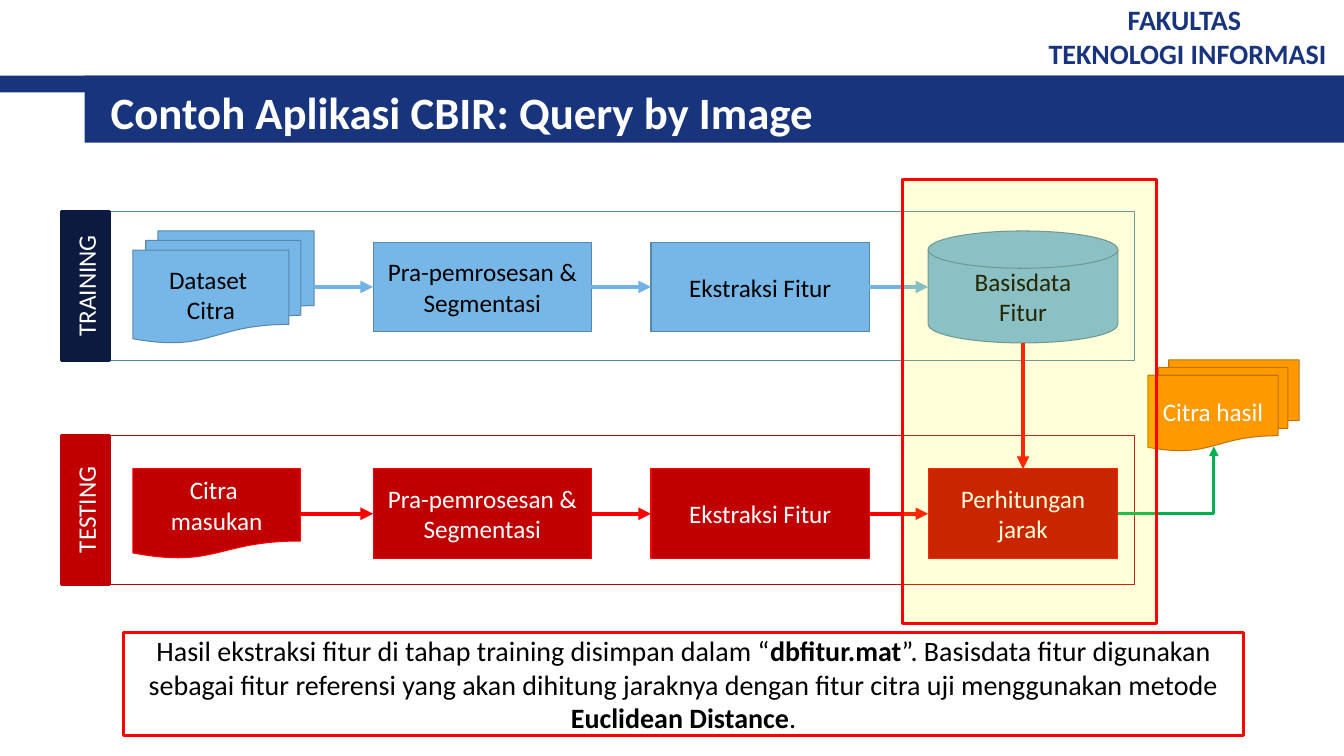
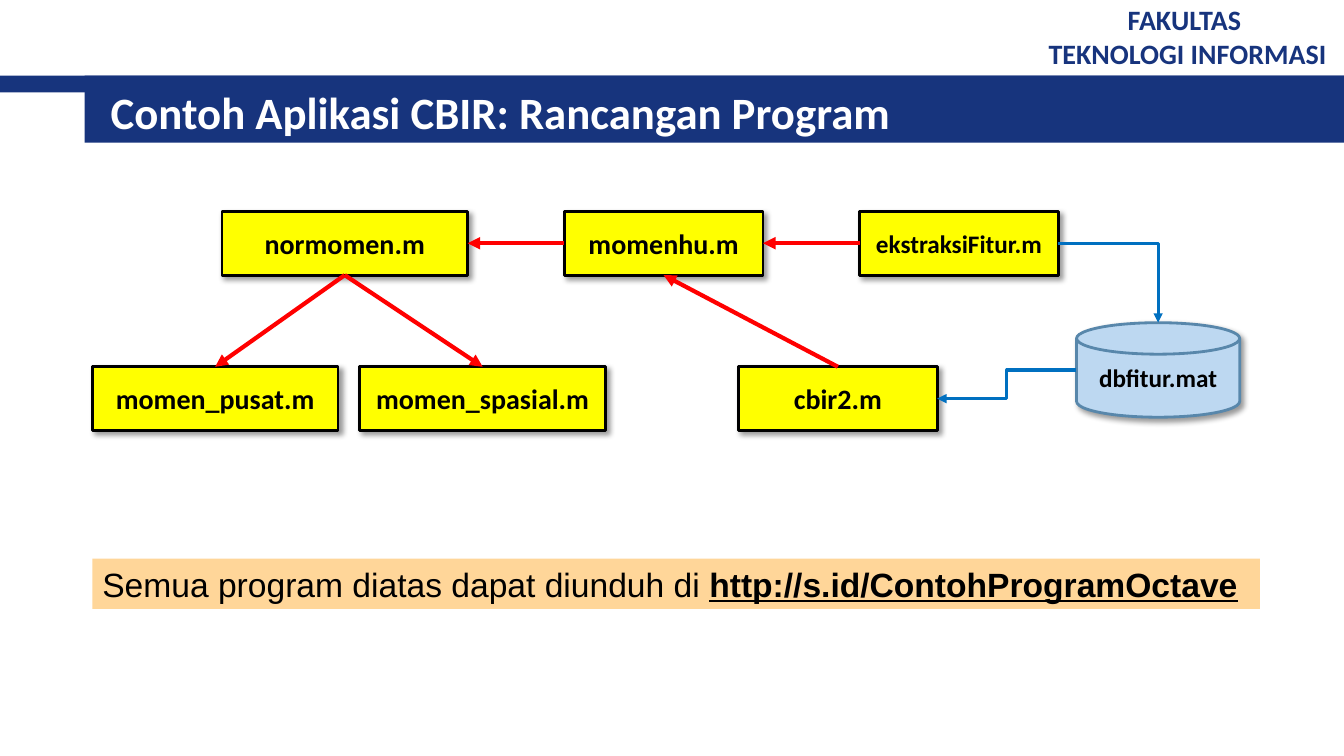
from dataclasses import dataclass, field
from typing import Any, Optional

import pptx
import pptx.dml.color
import pptx.enum.shapes
import pptx.enum.text
import pptx.oxml.ns
import pptx.util
from lxml import etree

Pt = pptx.util.Pt
qn = pptx.oxml.ns.qn
MSO = pptx.enum.shapes.MSO_SHAPE
CONNECTOR = pptx.enum.shapes.MSO_CONNECTOR
ALIGN = pptx.enum.text.PP_ALIGN
ANCHOR = pptx.enum.text.MSO_ANCHOR

# Palette
NAVY, DARK_NAVY = "17347D", "0B1A3E"
SKY, STEEL, SKY_ARROW, PALE = "77B7E7", "5887AB", "72B3E5", "BDD8F1"
CRIMSON, RED, GREEN, BLUE = "C00000", "FF0000", "00B050", "0070C0"
ORANGE, BROWN, PEACH, YELLOW = "FF9900", "BF7300", "FFD699", "FFFF00"
BLACK, WHITE = "000000", "FFFFFF"

TOP, LEFT, BOTTOM, RIGHT = range(4)


@dataclass
class Run:
    text: str
    fmt: dict[str, Any] = field(default_factory=dict)


@dataclass
class Box:
    x: float
    y: float
    w: float
    h: float
    fill: Optional[str] = None
    line: Optional[str] = None
    weight: float = 0.75
    kind: Any = MSO.FLOWCHART_PROCESS
    text: str | list[Run] = ""
    color: str = BLACK
    size: float = 18
    bold: bool = False
    font: str = "Calibri"
    align: Any = ALIGN.CENTER
    rotation: float = 0
    opacity: int = 100
    shadow: bool = False


@dataclass
class Site:
    """Middle of a shape's side, with an optional shift."""
    sp: Any
    side: int
    dx: float = 0
    dy: float = 0

    def point(self) -> tuple[int, int]:
        sp = self.sp
        fx, fy = ((0.5, 0), (0, 0.5), (0.5, 1), (1, 0.5))[self.side]
        return (int(sp.left + sp.width * fx + Pt(self.dx)),
                int(sp.top + sp.height * fy + Pt(self.dy)))


def rgb(value: str) -> pptx.dml.color.RGBColor:
    return pptx.dml.color.RGBColor.from_string(value)


def write(sp: Any, b: Box) -> None:
    tf = sp.text_frame
    tf.word_wrap = True
    tf.vertical_anchor = ANCHOR.MIDDLE
    if isinstance(b.text, str):
        paragraphs = [[Run(t)] for t in b.text.split("\n")]
    else:
        paragraphs = [b.text]
    base = {"name": b.font, "size": Pt(b.size), "bold": b.bold}
    for i, runs in enumerate(paragraphs):
        p = tf.add_paragraph() if i else tf.paragraphs[0]
        p.alignment = b.align
        for run in runs:
            r = p.add_run()
            r.text = run.text
            for name, value in (base | run.fmt).items():
                setattr(r.font, name, value)
            r.font.color.rgb = rgb(b.color)


def add_box(s: Any, b: Box) -> Any:
    sp = s.shapes.add_shape(b.kind, Pt(b.x), Pt(b.y), Pt(b.w), Pt(b.h))
    sp.rotation = b.rotation
    if b.fill:
        sp.fill.solid()
        sp.fill.fore_color.rgb = rgb(b.fill)
    else:
        sp.fill.background()
    if b.line:
        sp.line.color.rgb = rgb(b.line)
        sp.line.width = Pt(b.weight)
    else:
        sp.line.fill.background()
    sp.shadow.inherit = False
    spPr = sp._element.spPr
    if b.opacity < 100:
        clr = spPr.find(qn("a:solidFill")).find(qn("a:srgbClr"))
        etree.SubElement(clr, qn("a:alpha"), val=str(b.opacity * 1000))
    if b.shadow:
        shade = etree.SubElement(
            spPr.find(qn("a:effectLst")), qn("a:outerShdw"),
            blurRad=str(Pt(4)), dist=str(Pt(3)), dir="2700000",
            algn="tl", rotWithShape="0")
        clr = etree.SubElement(shade, qn("a:srgbClr"), val=BLACK)
        etree.SubElement(clr, qn("a:alpha"), val="40000")
    if b.text:
        write(sp, b)
    return sp


def add_text(s: Any, b: Box) -> None:
    sp = s.shapes.add_textbox(Pt(b.x), Pt(b.y), Pt(b.w), Pt(b.h))
    if b.fill:
        sp.fill.solid()
        sp.fill.fore_color.rgb = rgb(b.fill)
    write(sp, b)


def add_arrow(s: Any, begin: Site, end: Site, color: str,
              weight: float = 3, elbow: str = "") -> None:
    kind = CONNECTOR.ELBOW if elbow else CONNECTOR.STRAIGHT
    c = s.shapes.add_connector(kind, *begin.point(), *end.point())
    if elbow:
        c._element.spPr.find(qn("a:prstGeom")).set("prst", elbow)
    else:
        for site, join in ((begin, c.begin_connect), (end, c.end_connect)):
            if site.sp.auto_shape_type == MSO.FLOWCHART_PROCESS:
                join(site.sp, site.side)
    c.line.color.rgb = rgb(color)
    c.line.width = Pt(weight)
    etree.SubElement(c.line._get_or_add_ln(), qn("a:tailEnd"), type="triangle")
    etree.SubElement(c._element.spPr, qn("a:effectLst"))


def new_slide(prs: Any, title: str) -> Any:
    s = prs.slides.add_slide(prs.slide_layouts[6])
    # Bands, faculty name and title
    add_box(s, Box(0, 54, 960, 12, NAVY, kind=MSO.RECTANGLE))
    add_box(s, Box(60.5, 54, 899.5, 48, NAVY, kind=MSO.RECTANGLE))
    add_text(s, Box(736.5, 3.5, 223.5, 44.5, color=NAVY, size=20, bold=True,
                    text="FAKULTAS \nTEKNOLOGI INFORMASI"))
    add_text(s, Box(72, 57.5, 856, 44.5, color=WHITE, size=32, bold=True,
                    align=ALIGN.LEFT, text=title))
    return s


def add_lane(s: Any, y: float, name: str, line: str, fill: str) -> None:
    h, tab = 106.5, 34.5
    add_box(s, Box(79, y, 731.5, h, line=line, kind=MSO.RECTANGLE))
    add_box(s, Box(61.25 - h / 2, y + (h - tab) / 2, h, tab, fill, fill, 2,
                   MSO.RECTANGLE, name, WHITE, rotation=270))


def add_flow(s: Any, mid: float, steps: list[Box], arrow: str,
             **style: Any) -> list[Any]:
    """Draw steps centred on one height and chain them with arrows."""
    shapes = []
    for b in steps:
        b.y = mid - b.h / 2
        for name, value in style.items():
            setattr(b, name, value)
        shapes.append(add_box(s, b))
    for a, b in zip(shapes, shapes[1:]):
        add_arrow(s, Site(a, RIGHT), Site(b, LEFT), arrow)
    return shapes


def middle_steps() -> list[Box]:
    return [Box(266.5, 0, 156, 64, text="Pra-pemrosesan & Segmentasi"),
            Box(465, 0, 156, 64, text="Ekstraksi Fitur")]


def query_slide(prs: Any) -> None:
    s = new_slide(prs, "Contoh Aplikasi CBIR: Query by Image")

    # Lanes
    add_lane(s, 311, "TESTING", CRIMSON, CRIMSON)
    add_lane(s, 151, "TRAINING", STEEL, DARK_NAVY)

    # Flows
    dataset = Box(95, 0, 129.5, 80, kind=MSO.FLOWCHART_MULTIDOCUMENT,
                  text="Dataset \nCitra")
    database = Box(663, 0, 135.5, 80, kind=MSO.FLOWCHART_MAGNETIC_DISK,
                   text="Basisdata\nFitur")
    query = Box(95, 0, 119.5, 64.5, kind=MSO.FLOWCHART_DOCUMENT,
                text="Citra \nmasukan")
    distance = Box(663, 0, 135.5, 64, text="Perhitungan jarak")
    training = add_flow(s, 205, [dataset, *middle_steps(), database],
                        SKY_ARROW, fill=SKY, line=STEEL)
    testing = add_flow(s, 367, [query, *middle_steps(), distance],
                       RED, fill=CRIMSON, line=RED, color=WHITE)
    add_arrow(s, Site(training[-1], BOTTOM), Site(testing[-1], TOP), RED)

    # Result
    result = add_box(s, Box(820, 257, 108, 65, ORANGE, BROWN, color=WHITE,
                            kind=MSO.FLOWCHART_MULTIDOCUMENT,
                            text="Citra hasil"))
    add_arrow(s, Site(testing[-1], RIGHT), Site(result, BOTTOM, -7, -3),
              GREEN, 2.25, "bentConnector2")

    # Highlight and explanation
    add_box(s, Box(644.5, 128, 181.5, 317.5, YELLOW, RED, 2, opacity=15))
    strong = {"bold": True}
    add_box(s, Box(88.5, 451.5, 799.5, 74, line=RED, weight=2, size=20, text=[
        Run("Hasil ekstraksi fitur di tahap training disimpan dalam “"),
        Run("dbfitur.mat", strong),
        Run("”. Basisdata fitur digunakan sebagai fitur referensi yang akan "
            "dihitung jaraknya dengan fitur citra uji menggunakan metode "),
        Run("Euclidean Distance", strong),
        Run(".")]))


def program_slide(prs: Any) -> None:
    s = new_slide(prs, "Contoh Aplikasi CBIR: Rancangan Program")

    # Program files
    upper, lower, narrow, wide = 151, 262, 142, 175.5
    files = {}
    for name, x, y, w, size in (
            ("ekstraksiFitur.m", 614, upper, narrow, 18),
            ("momenhu.m", 403, upper, narrow, 20),
            ("cbir2.m", 527.5, lower, narrow, 20),
            ("normomen.m", 158.5, upper, wide, 20),
            ("momen_spasial.m", 257, lower, wide, 20),
            ("momen_pusat.m", 66, lower, wide, 20)):
        files[name] = add_box(s, Box(x, y, w, 45.5, YELLOW, BLACK, 2, text=name,
                                     size=size, bold=True, shadow=True))

    # Calls between files
    for a, side_a, b, side_b in (
            ("momenhu.m", LEFT, "normomen.m", RIGHT),
            ("normomen.m", BOTTOM, "momen_pusat.m", TOP),
            ("normomen.m", BOTTOM, "momen_spasial.m", TOP),
            ("ekstraksiFitur.m", LEFT, "momenhu.m", RIGHT),
            ("cbir2.m", TOP, "momenhu.m", BOTTOM)):
        add_arrow(s, Site(files[a], side_a), Site(files[b], side_b), RED)

    # Feature database
    disk = add_box(s, Box(769, 230.5, 116.5, 67.5, PALE, STEEL, 2,
                          MSO.FLOWCHART_MAGNETIC_DISK, "dbfitur.mat",
                          bold=True, shadow=True))
    add_arrow(s, Site(files["ekstraksiFitur.m"], RIGHT), Site(disk, TOP),
              BLUE, 2.25, "bentConnector2")
    add_arrow(s, Site(disk, LEFT), Site(files["cbir2.m"], RIGHT),
              BLUE, 2.25, "bentConnector3")

    # Download address
    add_text(s, Box(66, 399, 834, 36, PEACH, size=24, font="Arial",
                    align=ALIGN.LEFT, text=[
                        Run("Semua program diatas dapat diunduh di "),
                        Run("http://s.id/ContohProgramOctave",
                            {"bold": True, "underline": True})]))


def main() -> None:
    prs = pptx.Presentation()
    prs.slide_width, prs.slide_height = Pt(960), Pt(540)
    query_slide(prs)
    program_slide(prs)
    prs.save("out.pptx")


if __name__ == "__main__":
    main()
